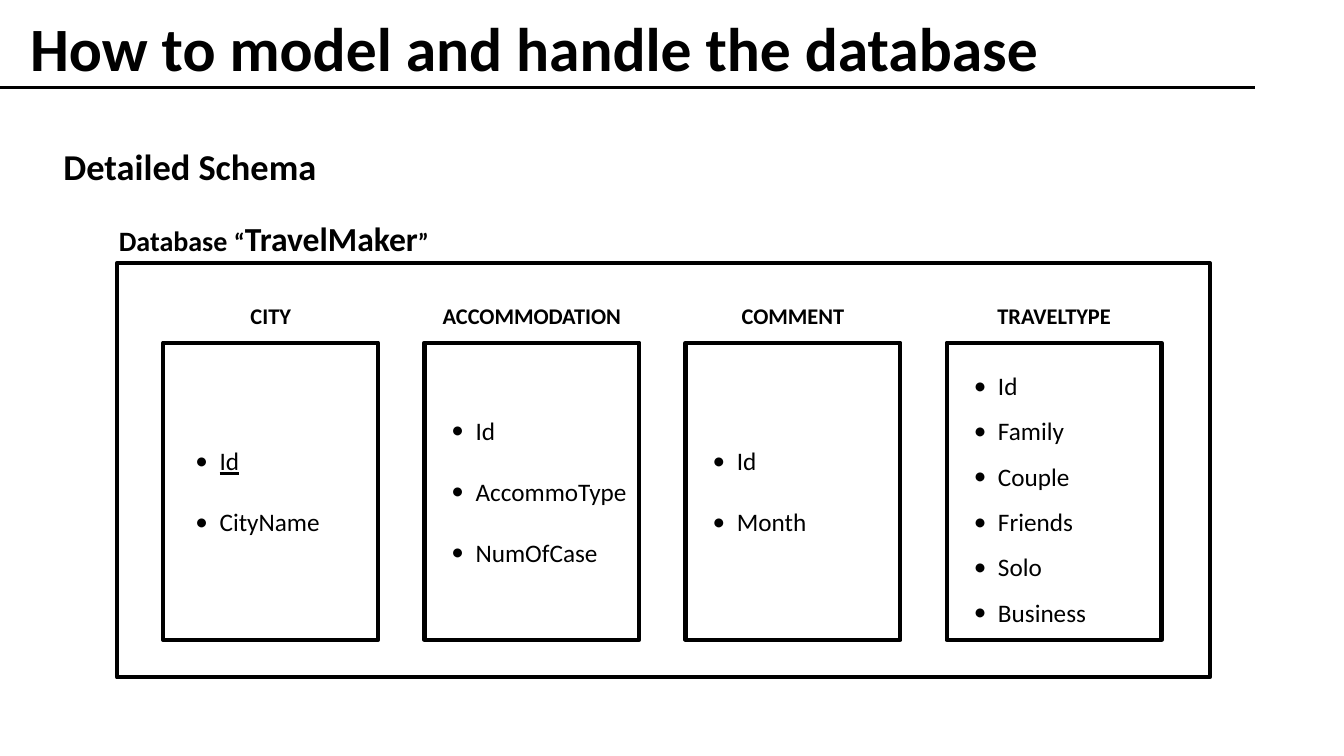
from lxml import etree
from pptx import Presentation, util as u
from pptx.dml.color import RGBColor
from pptx.enum import shapes, text
from pptx.oxml.ns import qn


def colour(hex_string):
    return RGBColor.from_string(hex_string)


class SchemaSlide:
    font_name = "Calibri"
    ink = "000000"

    def __init__(self, deck):
        self.width, self.height = deck.slide_width, deck.slide_height
        self.shapes = deck.slides.add_slide(deck.slide_layouts[6]).shapes

    def across(self, percent):
        return u.Emu(round(self.width * percent / 100))

    def down(self, percent):
        return u.Emu(round(self.height * percent / 100))

    def area(self, left, top, width, height):
        return self.across(left), self.down(top), self.across(width), self.down(height)

    def style(self, font, size, bold=False):
        font.name, font.size, font.bold = self.font_name, u.Pt(size), bold
        font.color.rgb = colour(self.ink)

    def label(self, place, parts, spacing, align=text.PP_ALIGN.LEFT):
        frame = self.shapes.add_textbox(*self.area(*place)).text_frame
        frame.word_wrap = True
        paragraph = frame.paragraphs[0]
        paragraph.alignment = align
        paragraph.line_spacing = spacing
        for wording, size in parts:
            run = paragraph.add_run()
            run.text = wording
            self.style(run.font, size, bold=True)

    def rule(self, start, end, level):
        line = self.shapes.add_connector(
            shapes.MSO_CONNECTOR.STRAIGHT, self.across(start), self.down(level),
            self.across(end), self.down(level))
        line.line.color.rgb = colour(self.ink)
        line.line.width = u.Pt(2.5)
        etree.SubElement(line._element.spPr, qn("a:effectLst"))

    def box(self, place):
        outline = self.shapes.add_shape(shapes.MSO_SHAPE.RECTANGLE, *self.area(*place))
        outline.shadow.inherit = False
        outline.fill.background()
        outline.line.color.rgb = colour(self.ink)
        outline.line.width = u.Pt(3)
        return outline

    def fields(self, place, names, indent, spacing, gap, key):
        frame = self.box(place).text_frame
        frame.word_wrap = True
        frame.vertical_anchor = text.MSO_ANCHOR.MIDDLE
        frame.margin_right = 0
        frame.text = "\n".join(names)
        for index, paragraph in enumerate(frame.paragraphs):
            properties = paragraph._p.get_or_add_pPr()
            properties.set("marL", str(u.Inches(indent)))
            properties.set("indent", str(u.Inches(-0.24)))
            etree.SubElement(properties, qn("a:buFont"), typeface=self.font_name)
            etree.SubElement(properties, qn("a:buChar"), char="•")
            paragraph.alignment = text.PP_ALIGN.LEFT
            paragraph.line_spacing = spacing
            if index:
                paragraph.space_before = u.Pt(gap)
            run = paragraph.runs[0]
            self.style(run.font, 18)
            run.font.underline = run.text == key

    def entity(self, column, heading, names, indent=0.41, spacing=1.0, gap=22, key=None):
        left, width = 12.15 + 19.43 * column, 15.98
        self.fields((left, 45.33, width, 39.33), names, indent, spacing, gap, key)
        self.label((left, 37.2, width, 10.4), [(heading, 16)], 1.6, text.PP_ALIGN.CENTER)


def main():
    deck = Presentation()
    deck.slide_width, deck.slide_height = u.Inches(13.33), u.Inches(7.5)
    slide = SchemaSlide(deck)

    slide.label((1.5, 1.73, 86.27, 13.6), [("How to model and handle the database", 44)], 0.9)
    slide.rule(0, 93.4, 11.6)
    slide.label((3.98, 15.47, 23.03, 9.33), [("Detailed Schema", 26)], 1.5)
    database = [("Database ", 20), ("“", 18), ("TravelMaker", 24), ("”", 18)]
    slide.label((8.1, 24.93, 28.58, 8.53), database, 1.6)
    slide.box((8.7, 34.8, 81.32, 54.8))

    slide.entity(0, "CITY", ["Id", "CityName"], indent=0.46, key="Id")
    slide.entity(1, "ACCOMMODATION", ["Id", "AccommoType", "NumOfCase"])
    slide.entity(2, "COMMENT", ["Id", "Month"])
    travel_types = ["Id", "Family", "Couple", "Friends", "Solo", "Business"]
    slide.entity(3, "TRAVELTYPE", travel_types, spacing=1.5, gap=0)

    deck.save("out.pptx")


if __name__ == "__main__":
    main()
